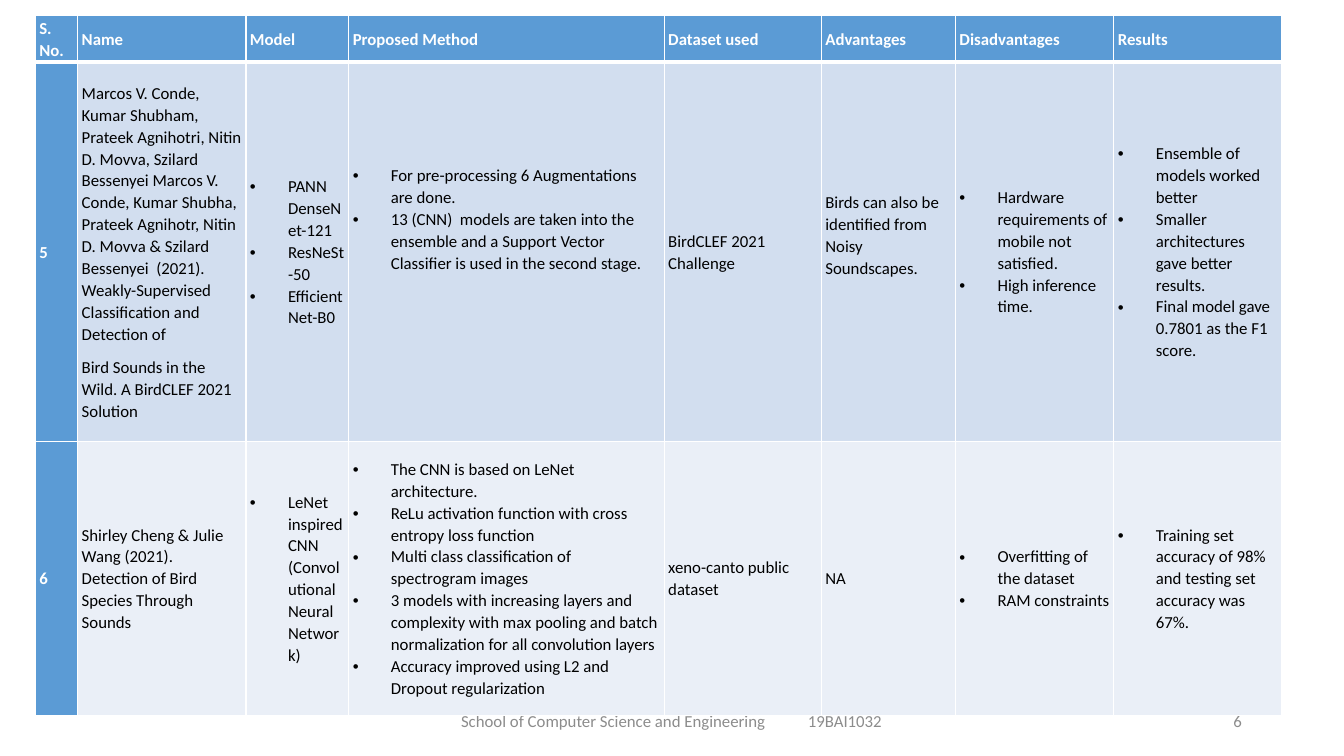
from dataclasses import dataclass

from lxml.etree import SubElement
from pptx import Presentation
from pptx.dml.color import RGBColor
from pptx.enum.text import MSO_ANCHOR, PP_ALIGN
from pptx.oxml.ns import qn
from pptx.util import Cm, Pt


@dataclass(frozen=True)
class Theme:
    font: str = "Calibri"
    text_size: float = 12
    accent: str = "5B9BD5"
    bands: tuple = ("D2DEEF", "EAEFF7")
    dark_text: str = "000000"
    light_text: str = "FFFFFF"
    footer_text: str = "8C8C8C"
    rule: str = "FFFFFF"
    thin_rule: float = 1
    thick_rule: float = 3


@dataclass(frozen=True)
class Entry:
    paragraphs: tuple
    bulleted: bool = False
    lift: float = 0  # extra room below the text, in cm


THEME = Theme()
COLUMN_WIDTHS = (1.07, 4.24, 2.59, 7.95, 3.96, 3.38, 3.99, 4.22)
ROW_HEIGHTS = (1.19, 9.55, 6.91)
BULLET_INDENT = Cm(0.96)


def plain(*paragraphs, lift=0):
    return Entry(paragraphs, lift=lift)


def bullets(*paragraphs, lift=0):
    return Entry(paragraphs, bulleted=True, lift=lift)


HEADINGS = [plain(heading) for heading in (
    "S. No.", "Name", "Model", "Proposed Method", "Dataset used",
    "Advantages", "Disadvantages", "Results")]

PAPERS = [
    [
        plain("5"),
        plain("Marcos V. Conde, Kumar Shubham, Prateek Agnihotri, Nitin D. Movva, "
              "Szilard Bessenyei Marcos V. Conde, Kumar Shubha, Prateek Agnihotr, "
              "Nitin D. Movva & Szilard Bessenyei  (2021). Weakly-Supervised "
              "Classification and Detection of",
              "Bird Sounds in the Wild. A BirdCLEF 2021 Solution"),
        bullets("PANN DenseNet-121", "ResNeSt-50", "EfficientNet-B0"),
        bullets("For pre-processing 6 Augmentations are done.",
                "13 (CNN)  models are taken into the ensemble and a Support Vector "
                "Classifier is used in the second stage.", lift=1.66),
        plain("BirdCLEF 2021 Challenge"),
        plain("Birds can also be identified from Noisy Soundscapes.", lift=0.83),
        bullets("Hardware requirements of mobile not satisfied.",
                "High inference time."),
        bullets("Ensemble of models worked better",
                "Smaller architectures gave better results.",
                "Final model gave 0.7801 as the F1 score."),
    ],
    [
        plain("6"),
        plain("Shirley Cheng & Julie Wang (2021). Detection of Bird Species "
              "Through Sounds"),
        bullets("LeNet inspired CNN (Convolutional Neural Network)"),
        bullets("The CNN is based on LeNet architecture.",
                "ReLu activation function with cross entropy loss function",
                "Multi class classification of spectrogram images",
                "3 models with increasing layers and complexity with max pooling "
                "and batch normalization for all convolution layers",
                "Accuracy improved using L2 and Dropout regularization"),
        plain("xeno-canto public dataset"),
        plain("NA"),
        bullets("Overfitting of the dataset", "RAM constraints"),
        bullets("Training set accuracy of 98% and testing set accuracy was 67%."),
    ],
]


def apply_format(target, values):
    for attribute, value in values.items():
        setattr(target, attribute, value)


def add_text(paragraph, text, color, bold=False):
    run = paragraph.add_run()
    run.text = text
    apply_format(run.font, {"name": THEME.font, "size": Pt(THEME.text_size),
                            "bold": bold})
    run.font.color.rgb = RGBColor.from_string(color)


def add_bullet(paragraph):
    properties = paragraph._p.get_or_add_pPr()
    properties.set("marL", str(BULLET_INDENT))
    properties.set("indent", str(-BULLET_INDENT))
    SubElement(properties, qn("a:buFont"), typeface="Arial")
    SubElement(properties, qn("a:buChar"), char="•")


def draw_borders(cell, widths):
    properties = cell._tc.get_or_add_tcPr()
    for side, width in widths.items():
        line = SubElement(properties, qn(f"a:ln{side}"), w=str(Pt(width)))
        fill = SubElement(line, qn("a:solidFill"))
        SubElement(fill, qn("a:srgbClr"), val=THEME.rule)


def fill_cell(cell, entry, row, column):
    is_heading = row == 0 or column == 0
    thin, thick = THEME.thin_rule, THEME.thick_rule
    draw_borders(cell, {"L": thin, "R": thin,
                        "T": thick if row == 1 else thin,
                        "B": thick if row == 0 else thin})
    cell.fill.solid()
    background = THEME.accent if is_heading else THEME.bands[row - 1]
    cell.fill.fore_color.rgb = RGBColor.from_string(background)
    apply_format(cell, {"margin_left": Cm(0.1), "margin_right": Cm(0.1),
                        "margin_top": Cm(0), "margin_bottom": Cm(entry.lift),
                        "vertical_anchor": MSO_ANCHOR.MIDDLE})
    frame = cell.text_frame
    for index, text in enumerate(entry.paragraphs):
        paragraph = frame.add_paragraph() if index else frame.paragraphs[0]
        apply_format(paragraph, {"line_spacing": 1.07,
                                 "space_after": Pt(0 if entry.bulleted else 8)})
        if entry.bulleted:
            add_bullet(paragraph)
        add_text(paragraph, text,
                 THEME.light_text if is_heading else THEME.dark_text, is_heading)


def add_survey_table(slide):
    entries = [HEADINGS, *PAPERS]
    survey = slide.shapes.add_table(
        len(ROW_HEIGHTS), len(COLUMN_WIDTHS), Cm(0.89), Cm(0.38),
        Cm(sum(COLUMN_WIDTHS)), Cm(sum(ROW_HEIGHTS))).table
    apply_format(survey, {"first_col": True, "horz_banding": True})
    for column, width in zip(survey.columns, COLUMN_WIDTHS):
        column.width = Cm(width)
    for row, height in zip(survey.rows, ROW_HEIGHTS):
        row.height = Cm(height)
    for row, row_entries in enumerate(entries):
        for column, entry in enumerate(row_entries):
            fill_cell(survey.cell(row, column), entry, row, column)


def add_footer(slide, text, left, width, align, inset=0.25, tab=None):
    footer = slide.shapes.add_textbox(Cm(left), Cm(17.65), Cm(width), Cm(1.02))
    frame = footer.text_frame
    apply_format(frame, {"word_wrap": True, "margin_left": Cm(inset),
                         "vertical_anchor": MSO_ANCHOR.MIDDLE})
    paragraph = frame.paragraphs[0]
    paragraph.alignment = align
    if tab:
        stops = SubElement(paragraph._p.get_or_add_pPr(), qn("a:tabLst"))
        SubElement(stops, qn("a:tab"), pos=str(Cm(tab)), algn="l")
    add_text(paragraph, text, THEME.footer_text)


def main():
    deck = Presentation()
    apply_format(deck, {"slide_width": Cm(33.87), "slide_height": Cm(19.05)})
    slide = deck.slides.add_slide(deck.slide_layouts[6])

    # Footer: school with student number, then page number
    add_footer(slide, "School of Computer Science and Engineering\t19BAI1032",
               11.23, 11.43, PP_ALIGN.LEFT, inset=0.39, tab=8.74)
    add_footer(slide, "6", 23.93, 7.62, PP_ALIGN.RIGHT)

    # Literature survey
    add_survey_table(slide)
    deck.save("out.pptx")


if __name__ == "__main__":
    main()
